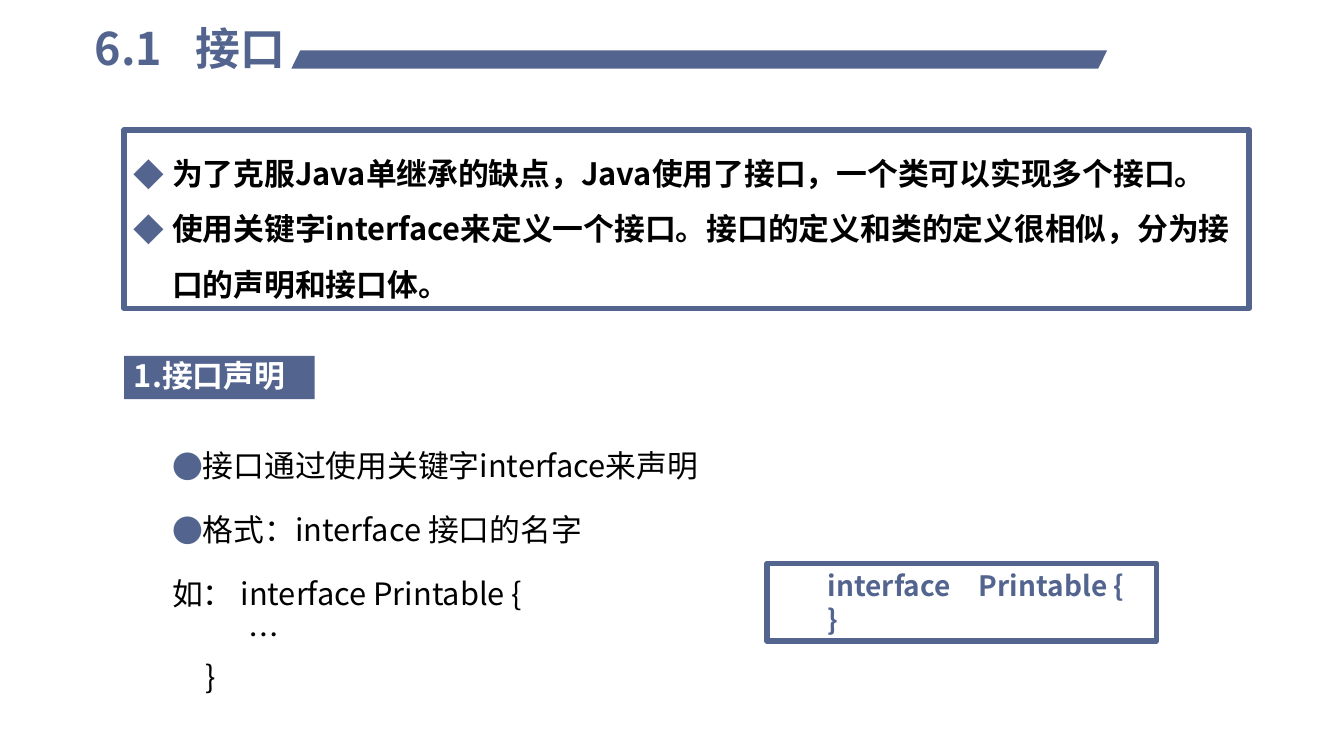
from dataclasses import dataclass

from lxml.etree import SubElement
from pptx import Presentation
from pptx.dml.color import RGBColor
from pptx.enum.shapes import MSO_SHAPE as Shape
from pptx.enum.text import MSO_ANCHOR as Anchor, PP_ALIGN as Align
from pptx.oxml.ns import qn
from pptx.util import Inches, Pt

CELL = 0.1


@dataclass(frozen=True)
class Theme:
    font: str = "Noto Sans CJK SC"
    accent: str = "53648F"
    ink: str = "000000"
    paper: str = "FFFFFF"
    title: int = 32
    body: int = 22
    code: int = 20
    border: int = 4


@dataclass(frozen=True)
class Line:
    text: str
    margin: float = 0
    hanging: float = 0
    bullet: str = ""
    spacing: float = 1
    before: int = 0
    after: int = 0
    tab: float = 0


def grid(cells):
    return Inches(cells * CELL)


def rgb(value):
    return RGBColor.from_string(value)


class SlideBuilder:
    def __init__(self, slide, theme):
        self.shapes = slide.shapes
        self.theme = theme

    def panel(self, area, fill=None, border=None, kind=Shape.RECTANGLE):
        panel = self.shapes.add_shape(kind, *map(grid, area))
        panel.shadow.inherit = False
        if fill:
            panel.fill.solid()
            panel.fill.fore_color.rgb = rgb(fill)
        else:
            panel.fill.background()
        if border:
            panel.line.color.rgb = rgb(border)
            panel.line.width = Pt(self.theme.border)
        else:
            panel.line.fill.background()
        return panel

    def bar(self, area, slant):
        bar = self.panel(area, self.theme.accent, kind=Shape.PARALLELOGRAM)
        bar.adjustments[0] = slant

    def label(self, area, lines, size, color, bold=False):
        label = self.shapes.add_textbox(*map(grid, area))
        self.typeset(label, lines, size, color, bold)

    def typeset(self, holder, lines, size, color, bold=True, anchor=Anchor.TOP, inset=1):
        frame = holder.text_frame
        frame.word_wrap = True
        frame.vertical_anchor = anchor
        frame.margin_left = grid(inset)
        for index, line in enumerate(lines):
            paragraph = frame.paragraphs[0] if index == 0 else frame.add_paragraph()
            paragraph.text = line.text
            self.indent(paragraph, line)
            paragraph.alignment = Align.LEFT
            paragraph.line_spacing = line.spacing
            paragraph.space_before = Pt(line.before)
            paragraph.space_after = Pt(line.after)
            font = paragraph.font
            font.size = Pt(size)
            font.bold = bold
            font.color.rgb = rgb(color)
            font.name = self.theme.font
            defaults = paragraph._p.pPr.find(qn("a:defRPr"))
            SubElement(defaults, qn("a:ea"), typeface=self.theme.font)

    def indent(self, paragraph, line):
        properties = paragraph._p.get_or_add_pPr()
        properties.set("marL", str(grid(line.margin)))
        properties.set("indent", str(-grid(line.hanging)))
        if line.bullet:
            tint = SubElement(properties, qn("a:buClr"))
            SubElement(tint, qn("a:srgbClr"), val=self.theme.accent)
            SubElement(properties, qn("a:buFont"), typeface=self.theme.font)
            SubElement(properties, qn("a:buChar"), char=line.bullet)
        else:
            SubElement(properties, qn("a:buNone"))
        if line.tab:
            tabs = SubElement(properties, qn("a:tabLst"))
            SubElement(tabs, qn("a:tab"), pos=str(grid(line.tab)), algn="l")


def build(page, theme):
    steps = [
        Line("接口通过使用关键字interface来声明", 3.8, 2.4, "●", 1.5, 2, 4),
        Line("格式：interface 接口的名字", 3.8, 2.4, "●", 1.5, 2, 4),
        Line("如： interface Printable {", 1.4, spacing=1.5, before=2, after=4),
        Line("…", 9, spacing=0.9, before=2, after=4),
        Line("}", 4.7, spacing=0.9, before=2, after=4),
    ]
    page.label((14.7, 42, 89.8, 27.8), steps, theme.body, theme.ink)

    example = page.panel((76.1, 55.9, 38.6, 7.7), theme.paper, theme.accent)
    code = [Line("interface\tPrintable {", tab=13.5), Line("}")]
    page.typeset(example, code, theme.code, theme.accent, anchor=Anchor.MIDDLE, inset=6)

    heading = [Line("6.1\t接口", tab=9.7)]
    page.label((8.4, 1.6, 23.5, 6.4), heading, theme.title, theme.accent, True)
    page.bar((28.9, 5, 80.9, 1.8), 0.49)

    summary = page.panel((12.3, 12.9, 111.6, 17.7), border=theme.accent)
    points = [
        Line(text, 3.8, 3.8, "◆", 1.5)
        for text in (
            "为了克服Java单继承的缺点，Java使用了接口，一个类可以实现多个接口。",
            "使用关键字interface来定义一个接口。接口的定义和类的定义很相似，分为接口的声明和接口体。",
        )
    ]
    page.typeset(summary, points, theme.body, theme.ink, anchor=Anchor.MIDDLE)

    section = page.panel((12.3, 35.3, 18.9, 4.3), theme.accent)
    topic = [Line("1.接口声明", spacing=0.9)]
    page.typeset(section, topic, theme.body, theme.paper, anchor=Anchor.MIDDLE)


def main():
    deck = Presentation()
    deck.slide_width = Inches(13.33)
    deck.slide_height = Inches(7.5)
    slide = deck.slides.add_slide(deck.slide_layouts[6])
    theme = Theme()
    build(SlideBuilder(slide, theme), theme)
    deck.save("out.pptx")


if __name__ == "__main__":
    main()
